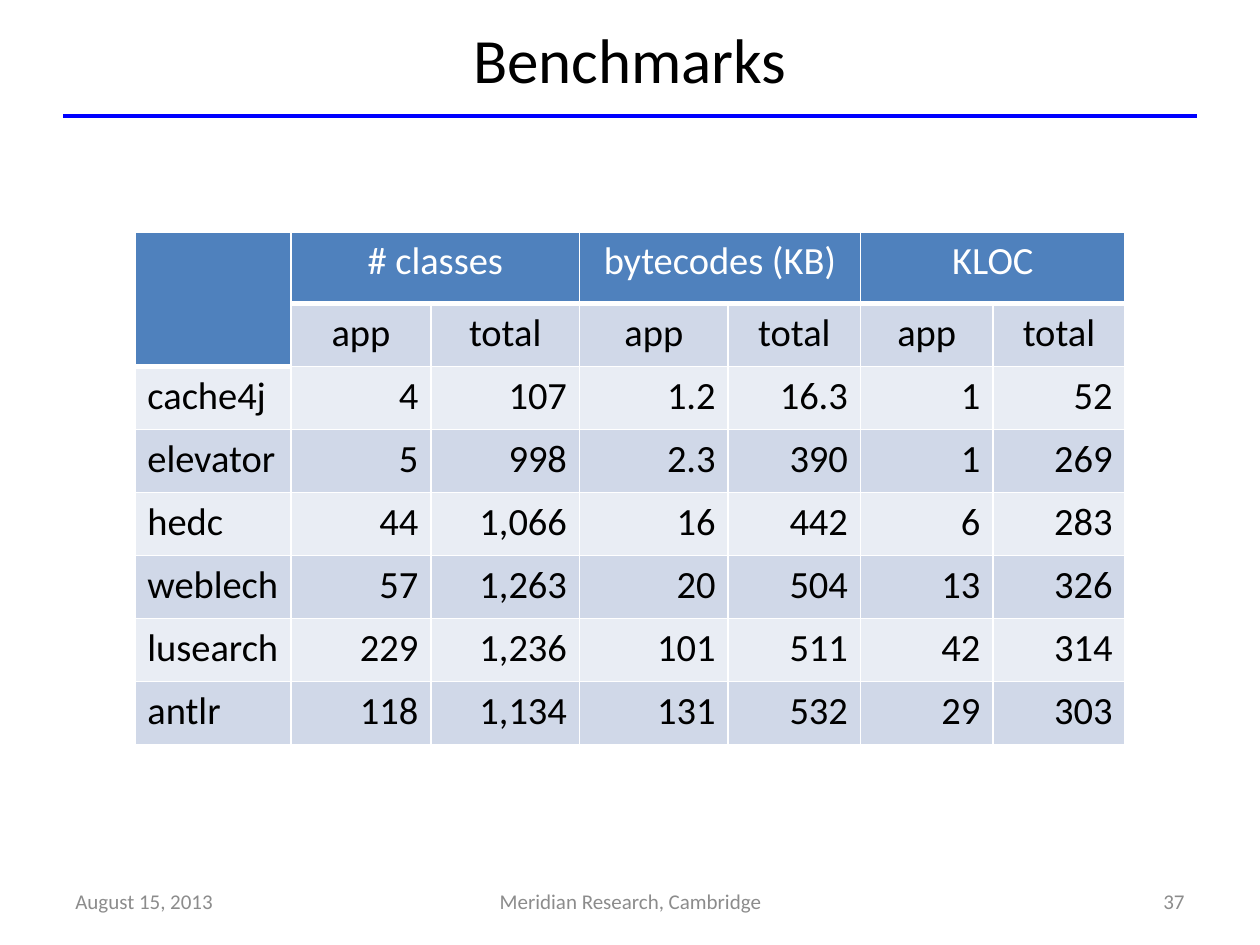
from dataclasses import dataclass

from lxml import etree
from pptx import Presentation
from pptx.dml.color import RGBColor
from pptx.enum.shapes import MSO_CONNECTOR
from pptx.enum.text import MSO_ANCHOR, PP_ALIGN
from pptx.oxml.ns import qn
from pptx.util import Inches, Pt

LEFT, CENTER, RIGHT = PP_ALIGN.LEFT, PP_ALIGN.CENTER, PP_ALIGN.RIGHT
MIDDLE = MSO_ANCHOR.MIDDLE
STRAIGHT = MSO_CONNECTOR.STRAIGHT


@dataclass(frozen=True)
class Theme:
    font: str = "Calibri"
    ink: str = "000000"
    white: str = "FFFFFF"
    muted: str = "8C8C8C"
    rule: str = "0000FF"
    header: str = "4F81BD"
    bands: tuple = ("E9EDF4", "D0D8E8")
    title_size: int = 36
    table_size: int = 22
    footer_size: int = 12
    rule_width: float = 2.25
    thin_border: int = 1
    header_border: int = 3


@dataclass(frozen=True)
class Label:
    text: str
    left: float
    top: float
    width: float
    height: float
    size: int
    color: str
    align: PP_ALIGN


THEME = Theme()
FOOTER = {"top": 6.95, "height": 0.4, "size": THEME.footer_size, "color": THEME.muted}
LABELS = [
    Label("Benchmarks", 0.5, 0, 9, 0.92, THEME.title_size, THEME.ink, CENTER),
    Label("August 15, 2013", left=0.5, width=2.33, align=LEFT, **FOOTER),
    Label("Meridian Research, Cambridge", left=3.42, width=3.17, align=CENTER, **FOOTER),
    Label("37", left=7.17, width=2.33, align=RIGHT, **FOOTER),
]
GROUPS = ["# classes", "bytecodes (KB)", "KLOC"]
BENCHMARKS = [
    ["cache4j", "4", "107", "1.2", "16.3", "1", "52"],
    ["elevator", "5", "998", "2.3", "390", "1", "269"],
    ["hedc", "44", "1,066", "16", "442", "6", "283"],
    ["weblech", "57", "1,263", "20", "504", "13", "326"],
    ["lusearch", "229", "1,236", "101", "511", "42", "314"],
    ["antlr", "118", "1,134", "131", "532", "29", "303"],
]
COLUMN_WIDTHS = [1.24, 1.11, 1.18, 1.18, 1.05, 1.05, 1.05]
ROW_HEIGHTS = [0.57] + [0.5] * (len(BENCHMARKS) + 1)


def write(frame, text: str, size: int, color: str, align: PP_ALIGN) -> None:
    para = frame.paragraphs[0]
    para.alignment = align
    span = para.add_run()
    span.text = text
    for name, value in {"name": THEME.font, "size": Pt(size)}.items():
        setattr(span.font, name, value)
    span.font.color.rgb = RGBColor.from_string(color)


def add_label(page, label: Label) -> None:
    box = page.shapes.add_textbox(
        Inches(label.left), Inches(label.top), Inches(label.width), Inches(label.height)
    )
    for name, value in {"word_wrap": True, "vertical_anchor": MIDDLE}.items():
        setattr(box.text_frame, name, value)
    write(box.text_frame, label.text, label.size, label.color, label.align)


def add_rule(page) -> None:
    rule = page.shapes.add_connector(
        STRAIGHT, Inches(0.5), Inches(0.92), Inches(9.5), Inches(0.92)
    )
    rule.line.color.rgb = RGBColor.from_string(THEME.rule)
    rule.line.width = Pt(THEME.rule_width)
    etree.SubElement(rule._element.spPr, qn("a:effectLst"))


def set_borders(cell, top: float, bottom: float) -> None:
    properties = cell._tc.get_or_add_tcPr()
    widths = {"lnL": THEME.thin_border, "lnR": THEME.thin_border, "lnT": top, "lnB": bottom}
    for position, (side, width) in enumerate(widths.items()):
        line = etree.Element(qn(f"a:{side}"), w=str(Pt(width)))
        fill = etree.SubElement(line, qn("a:solidFill"))
        etree.SubElement(fill, qn("a:srgbClr"), val=THEME.white)
        properties.insert(position, line)


def style_cell(cell, row: int, column: int) -> None:
    header_rows = 2 if column == 0 else 1
    in_header = row < header_rows
    cell.fill.solid()
    cell.fill.fore_color.rgb = RGBColor.from_string(
        THEME.header if in_header else THEME.bands[row % 2]
    )
    set_borders(
        cell,
        top=THEME.header_border if row == header_rows else THEME.thin_border,
        bottom=THEME.header_border if in_header else THEME.thin_border,
    )


def add_benchmark_table(page) -> None:
    table = page.shapes.add_table(
        len(ROW_HEIGHTS), len(COLUMN_WIDTHS), Inches(1.07), Inches(1.84),
        Inches(sum(COLUMN_WIDTHS)), Inches(sum(ROW_HEIGHTS)),
    ).table
    for column, width in zip(table.columns, COLUMN_WIDTHS):
        column.width = Inches(width)
    for row, height in zip(table.rows, ROW_HEIGHTS):
        row.height = Inches(height)

    group_row = [""] + [text for group in GROUPS for text in (group, "")]
    measure_row = [""] + ["app", "total"] * len(GROUPS)
    for row, texts in enumerate([group_row, measure_row] + BENCHMARKS):
        for column, text in enumerate(texts):
            cell = table.cell(row, column)
            style_cell(cell, row, column)
            if text:
                align = CENTER if row < 2 else LEFT if column == 0 else RIGHT
                color = THEME.white if row == 0 else THEME.ink
                write(cell.text_frame, text, THEME.table_size, color, align)

    table.cell(0, 0).merge(table.cell(1, 0))
    for column in range(1, len(COLUMN_WIDTHS), 2):
        table.cell(0, column).merge(table.cell(0, column + 1))


def main() -> None:
    deck = Presentation()
    deck.slide_width, deck.slide_height = Inches(10), Inches(7.5)
    page = deck.slides.add_slide(deck.slide_layouts[6])
    add_rule(page)
    for label in LABELS:
        add_label(page, label)
    add_benchmark_table(page)
    deck.save("out.pptx")


if __name__ == "__main__":
    main()
